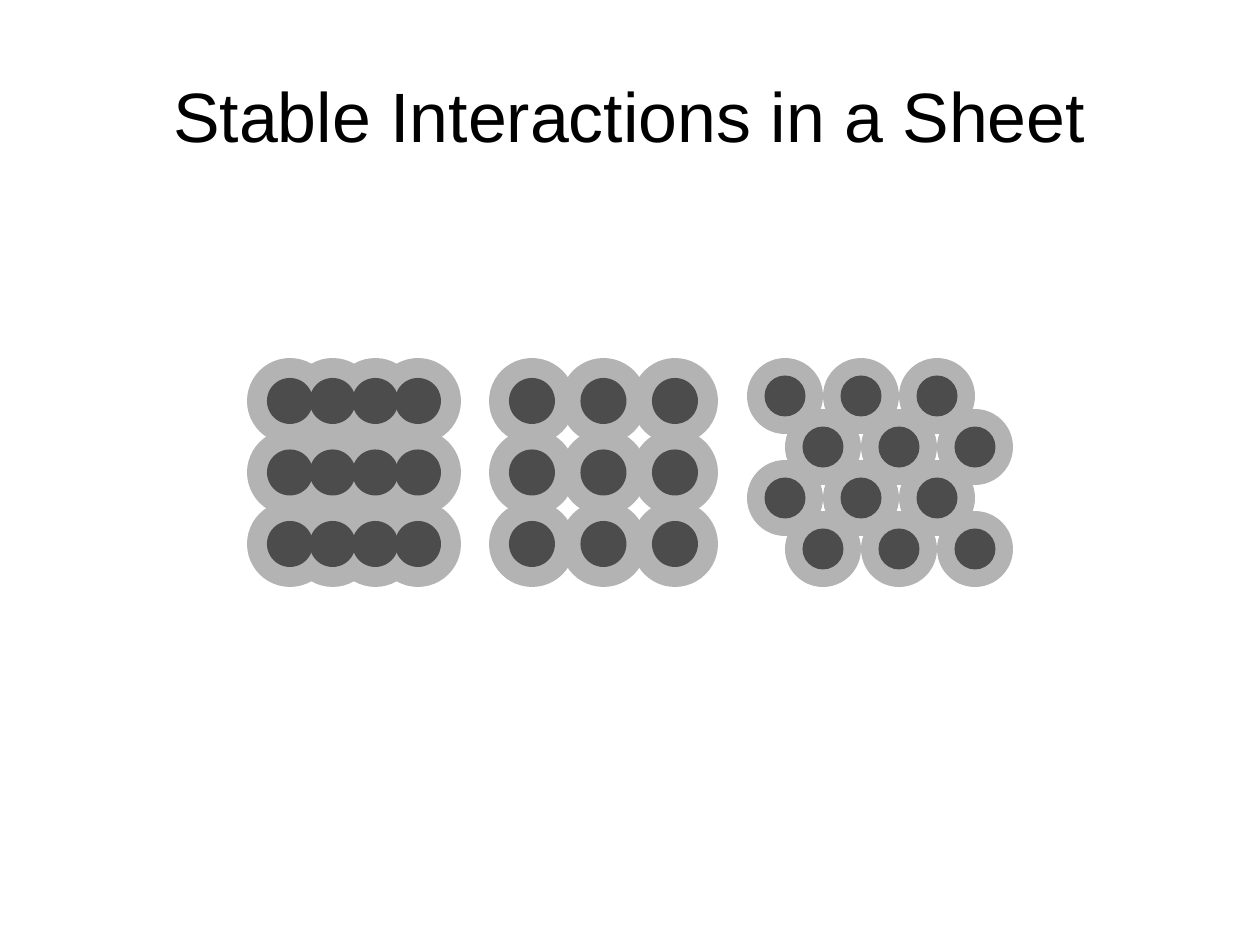
from pptx import Presentation
from pptx import util as u
from pptx.dml.color import RGBColor
from pptx.enum import shapes, text

EMU_PER_PX = 8000
BLACK = RGBColor(0x00, 0x00, 0x00)
HALO_GREY = RGBColor(0xB3, 0xB3, 0xB3)
CORE_GREY = RGBColor(0x4C, 0x4C, 0x4C)


def px(length):
    return u.Emu(round(length * EMU_PER_PX))


def add_title(slide, box, wording):
    title = slide.shapes.add_textbox(*map(px, box))
    frame = title.text_frame
    frame.word_wrap = True
    frame.vertical_anchor = text.MSO_ANCHOR.MIDDLE
    frame.margin_left = frame.margin_right = frame.margin_bottom = 0
    frame.margin_top = px(5)
    frame.text = wording
    line = frame.paragraphs[0]
    line.alignment = text.PP_ALIGN.CENTER
    line.line_spacing = 0.93
    font = line.runs[0].font
    font.name = "Arial"
    font.size = u.Pt(44)
    font.color.rgb = BLACK


def add_disc(sheet, center_x, center_y, diameter, color):
    disc = sheet.shapes.add_shape(
        shapes.MSO_SHAPE.OVAL, px(center_x - diameter / 2),
        px(center_y - diameter / 2), px(diameter), px(diameter))
    disc.shadow.inherit = False
    disc.fill.solid()
    disc.fill.fore_color.rgb = color
    disc.line.fill.background()


def add_sheet(slide, box, rows, columns, halo, core, stagger=0):
    """Fill the box with a grid of atoms; odd rows shift right by stagger."""
    left, top, width, height = box
    column_pitch = (width - halo - stagger) / (columns - 1)
    row_pitch = (height - halo) / (rows - 1)
    centers = [(left + halo / 2 + column * column_pitch + row % 2 * stagger,
                top + halo / 2 + row * row_pitch)
               for row in range(rows) for column in range(columns)]

    # All halos lie behind all cores
    sheet = slide.shapes.add_group_shape()
    for diameter, color in ((halo, HALO_GREY), (core, CORE_GREY)):
        for center_x, center_y in centers:
            add_disc(sheet, center_x, center_y, diameter, color)


def main():
    deck = Presentation()
    deck.slide_width, deck.slide_height = px(1260), px(945)
    slide = deck.slides.add_slide(deck.slide_layouts[6])

    # Strong bonds along rows, square sheet, close-packed sheet
    add_sheet(slide, (247, 358, 214, 229), 3, 4, halo=86, core=46)
    add_sheet(slide, (489, 358, 229, 229), 3, 3, halo=86, core=46)
    add_sheet(slide, (747, 358, 266, 229), 4, 3, halo=76, core=41, stagger=38)

    add_title(slide, (63, 38, 1134, 158), "Stable Interactions in a Sheet")
    deck.save("out.pptx")


if __name__ == "__main__":
    main()
